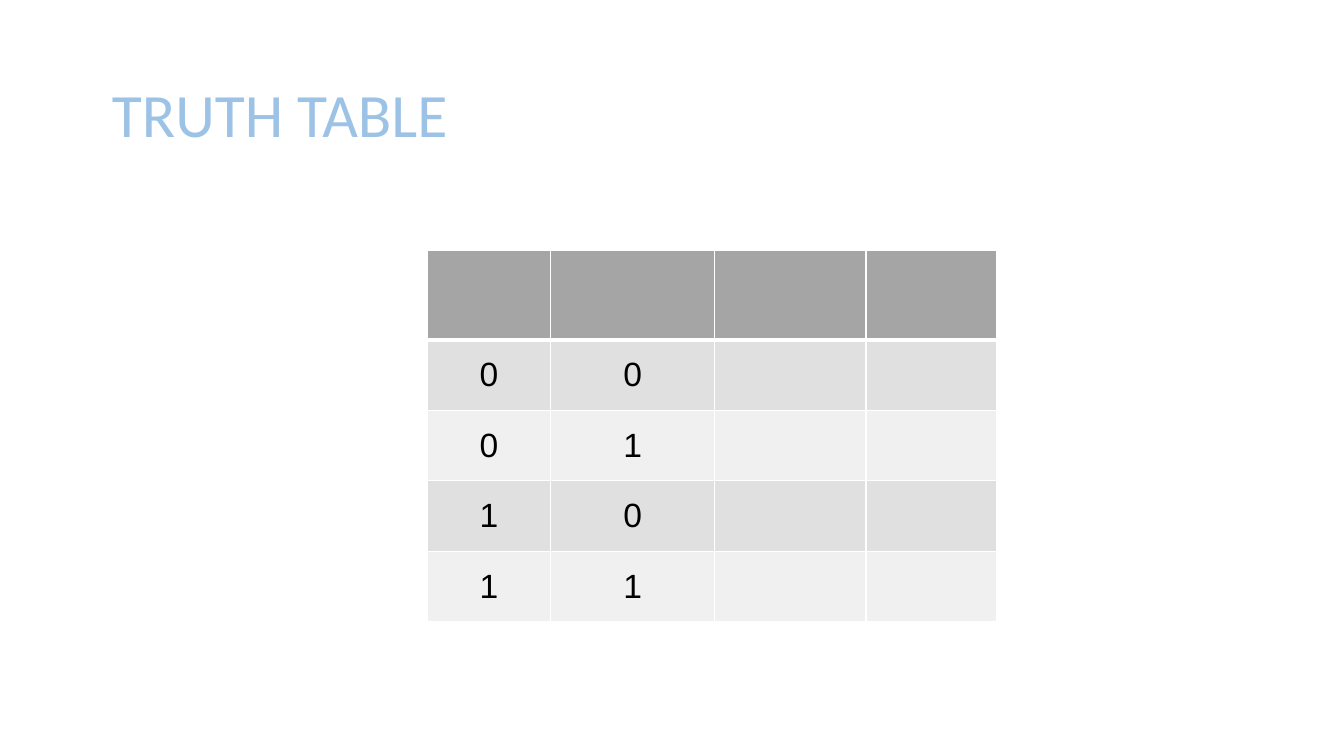
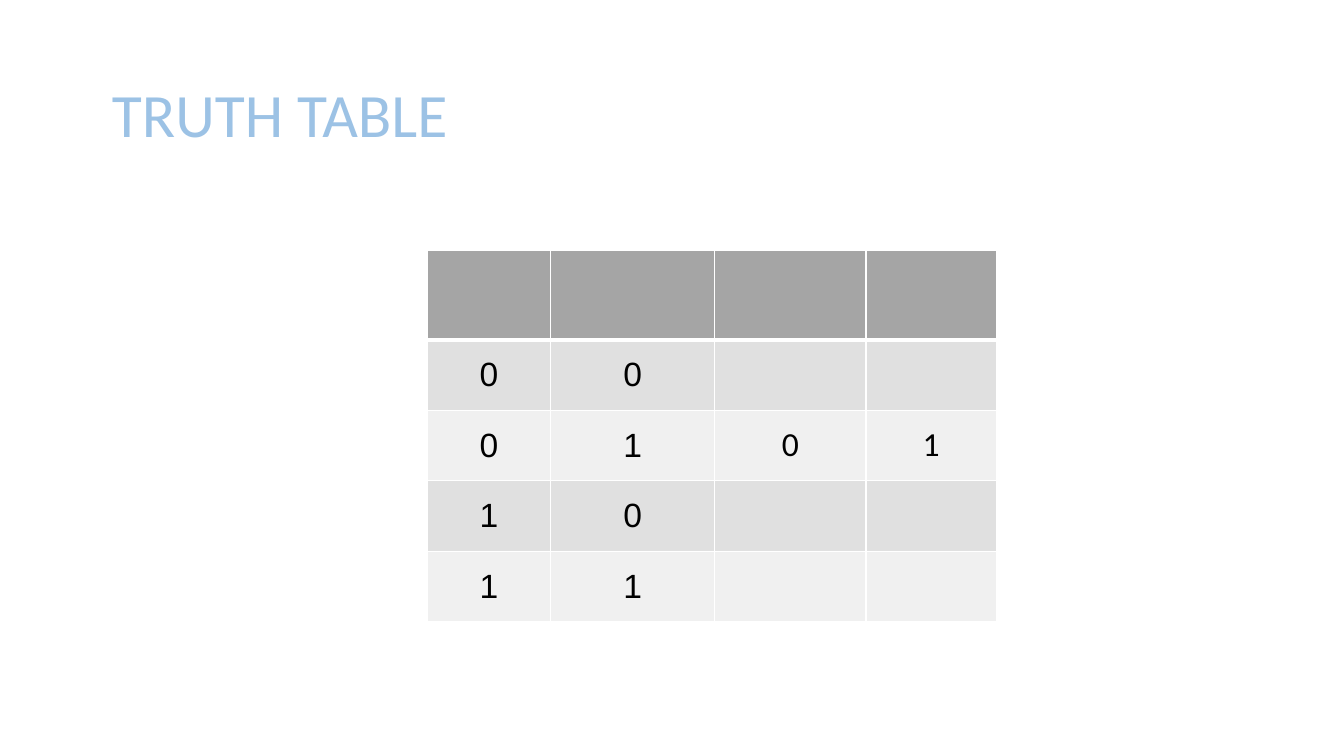
"""Build two truth table slides."""
from dataclasses import dataclass

from lxml.etree import SubElement
from pptx import Presentation
from pptx.dml.color import RGBColor
from pptx.enum.text import MSO_ANCHOR, MSO_AUTO_SIZE, PP_ALIGN
from pptx.oxml.ns import qn
from pptx.util import Pt

SCALE = 9144
SIZE = (1333, 750)
TITLE = (101, 44, 788, 145)
ORIGIN = (424, 248)
COLS = (122, 163, 150, 129)
ROWS = (89, 70, 70, 70, 70)
INPUTS = [("0", "0"), ("0", "1"), ("1", "0"), ("1", "1")]


@dataclass(frozen=True)
class Theme:
    title: str = "9CC2E5"
    ink: str = "000000"
    rule: str = "FFFFFF"
    head: str = "A5A5A5"
    bands: tuple = ("E0E0E0", "F0F0F0")
    big: int = 44
    body: int = 24
    thin: int = 1
    thick: int = 3
    sans: str = "Arial"
    face: str = "Calibri"


THEME = Theme()


def px(count):
    return count * SCALE


def write(frame, text, *, size, font, color, align, lead=1.0):
    para = frame.paragraphs[0]
    para.alignment = align
    para.line_spacing = lead
    run = para.add_run()
    run.text = text
    run.font.size = Pt(size)
    run.font.name = font
    run.font.bold = False
    run.font.color.rgb = RGBColor.from_string(color)


def add_title(slide, text):
    title = slide.shapes.title
    title.left, title.top, title.width, title.height = map(px, TITLE)
    frame = title.text_frame
    frame.word_wrap = True
    frame.auto_size = MSO_AUTO_SIZE.NONE
    frame.vertical_anchor = MSO_ANCHOR.MIDDLE
    write(frame, text, size=THEME.big, font=THEME.face,
          color=THEME.title, align=PP_ALIGN.LEFT, lead=0.9)


def set_edges(cell, widths):
    props = cell._tc.get_or_add_tcPr()
    for spot, (side, width) in enumerate(widths.items()):
        line = SubElement(props, qn(f"a:ln{side}"), w=str(Pt(width)))
        fill = SubElement(line, qn("a:solidFill"))
        SubElement(fill, qn("a:srgbClr"), val=THEME.rule)
        props.insert(spot, line)


def style_cell(cell, row):
    cell.fill.solid()
    color = THEME.bands[(row - 1) % 2] if row else THEME.head
    cell.fill.fore_color.rgb = RGBColor.from_string(color)
    cell.vertical_anchor = MSO_ANCHOR.MIDDLE
    set_edges(cell, {
        "L": THEME.thin,
        "R": THEME.thin,
        "T": THEME.thick if row == 1 else THEME.thin,
        "B": THEME.thin if row else THEME.thick,
    })


def add_table(slide, values):
    table = slide.shapes.add_table(
        len(ROWS), len(COLS), *map(px, (*ORIGIN, sum(COLS), sum(ROWS)))).table
    for col, width in zip(table.columns, COLS):
        col.width = px(width)
    for row, height in zip(table.rows, ROWS):
        row.height = px(height)
    for row in range(len(ROWS)):
        for col in range(len(COLS)):
            cell = table.cell(row, col)
            style_cell(cell, row)
            text = values.get((row, col))
            if text:
                font = THEME.sans if col < 2 else THEME.face
                write(cell.text_frame, text, size=THEME.body, font=font,
                      color=THEME.ink, align=PP_ALIGN.CENTER)


def main():
    deck = Presentation()
    deck.slide_width, deck.slide_height = map(px, SIZE)
    given = {(row, col): text for row, pair in enumerate(INPUTS, 1)
             for col, text in enumerate(pair)}
    for results in ({}, {(2, 2): "0", (2, 3): "1"}):
        slide = deck.slides.add_slide(deck.slide_layouts[5])
        add_title(slide, "TRUTH TABLE")
        add_table(slide, given | results)
    deck.save("out.pptx")


if __name__ == "__main__":
    main()
